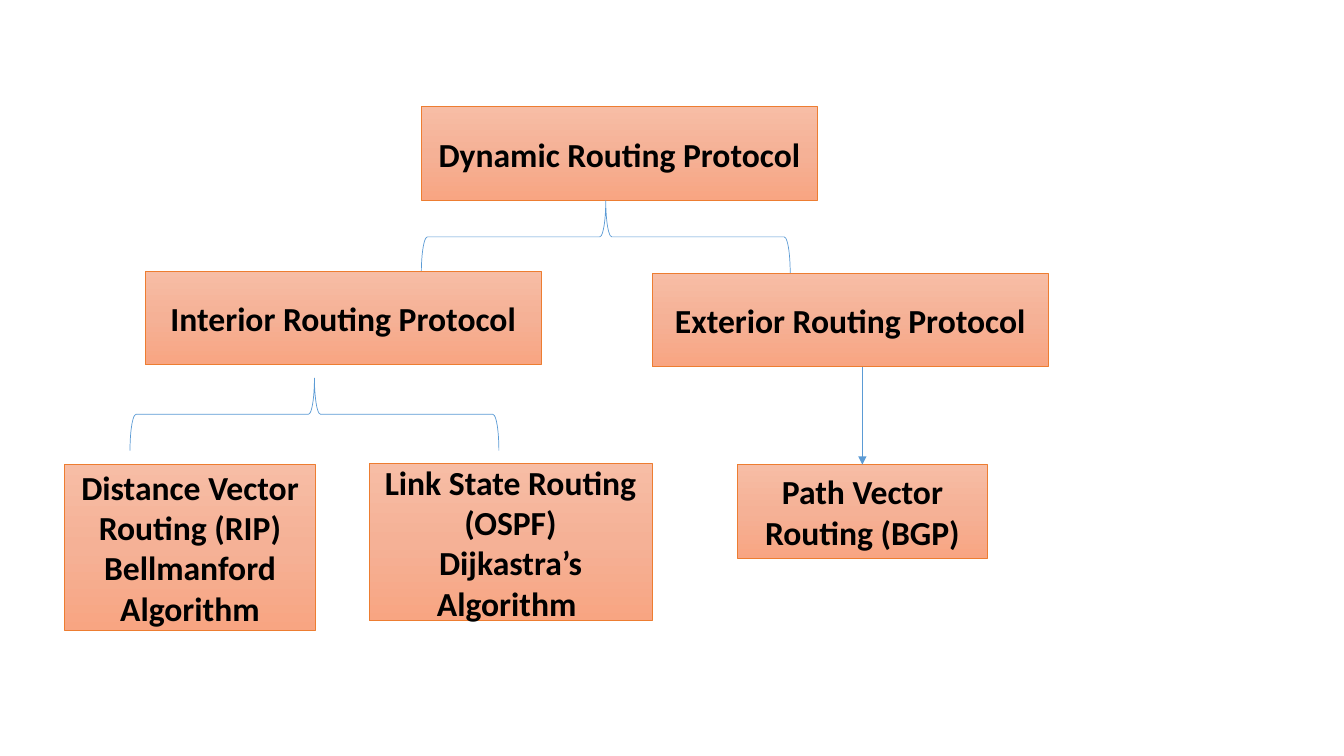
from copy import deepcopy
from dataclasses import dataclass

from lxml import etree
from pptx import Presentation
from pptx import util as u
from pptx.dml.color import RGBColor
from pptx.enum import shapes, text
from pptx.oxml.ns import qn


@dataclass(frozen=True)
class Theme:
    font: str = "Calibri"
    size: int = 24
    ink: str = "000000"
    box_stops: tuple = ("F7BDA5", "F5B196", "F8A582")
    box_line: str = "ED7D31"
    link_line: str = "5B9BD5"
    line_width: float = 0.5


THEME = Theme()
WIDTH, HEIGHT = u.Inches(13.33), u.Inches(7.5)
COLUMNS, ROWS = 40, 30
PROTOCOL_SIZE = (11.79, 3.72)   # columns, rows
BRACE_SIZE = (10.98, 2.88)


def col(n):
    return round(n * WIDTH / COLUMNS)


def row(n):
    return round(n * HEIGHT / ROWS)


def set_line(item, color):
    item.line.color.rgb = RGBColor.from_string(color)
    item.line.width = u.Pt(THEME.line_width)


def write(frame, lines, *, size=THEME.size, color=THEME.ink, bold=True):
    frame.word_wrap = True
    frame.vertical_anchor = text.MSO_ANCHOR.MIDDLE
    for i, line in enumerate(lines):
        paragraph = frame.add_paragraph() if i else frame.paragraphs[0]
        paragraph.alignment = text.PP_ALIGN.CENTER
        run = paragraph.add_run()
        run.text = line
        run.font.name = THEME.font
        run.font.size = u.Pt(size)
        run.font.bold = bold
        run.font.color.rgb = RGBColor.from_string(color)


def add_node(slide, x, y, size, *lines):
    """Gradient box with centred lines, in grid units."""
    node = slide.shapes.add_shape(shapes.MSO_SHAPE.RECTANGLE,
                                  col(x), row(y), col(size[0]), row(size[1]))
    node.shadow.inherit = False
    node.fill.gradient()
    node.fill.gradient_angle = 270
    stop_list = node._element.spPr.find(".//" + qn("a:gsLst"))
    stop_list.append(deepcopy(stop_list[0]))
    for i, (stop, color) in enumerate(zip(node.fill.gradient_stops, THEME.box_stops)):
        stop.position = i / 2
        stop.color.rgb = RGBColor.from_string(color)
    set_line(node, THEME.box_line)
    write(node.text_frame, lines)
    return node


def add_brace(slide, x, y):
    """Brace turned to point up; x, y is its visible top left corner."""
    span, depth = col(BRACE_SIZE[0]), row(BRACE_SIZE[1])
    shift = (span - depth) // 2
    brace = slide.shapes.add_shape(shapes.MSO_SHAPE.RIGHT_BRACE,
                                   col(x) + shift, row(y) - shift, depth, span)
    brace.rotation = 270
    brace.shadow.inherit = False
    brace.fill.background()
    set_line(brace, THEME.link_line)


def add_arrow(slide, parent, child):
    """Straight arrow from the parent's bottom to the child's top centre."""
    x = child.left + child.width // 2
    arrow = slide.shapes.add_connector(shapes.MSO_CONNECTOR.STRAIGHT,
                                       x, parent.top + parent.height, x, child.top)
    set_line(arrow, THEME.link_line)
    etree.SubElement(arrow.line._get_or_add_ln(), qn("a:tailEnd"), type="triangle")
    etree.SubElement(arrow._element.spPr, qn("a:effectLst"))


def draw_root(slide, x, y):
    add_node(slide, x, y, PROTOCOL_SIZE, "Dynamic Routing Protocol")
    add_brace(slide, x, y + PROTOCOL_SIZE[1])


def draw_interior(slide, x, y):
    add_node(slide, x + 2.4, y, PROTOCOL_SIZE, "Interior Routing Protocol")
    add_brace(slide, x + 1.95, y + 4.24)
    add_node(slide, x, y + 7.68, (7.47, 6.56),
             "Distance Vector Routing (RIP)", "Bellmanford Algorithm")
    add_node(slide, x + 9.06, y + 7.64, (8.43, 6.24),
             "Link State Routing (OSPF)", "Dijkastra’s Algorithm ")


def draw_exterior(slide, x, y):
    exterior = add_node(slide, x, y, PROTOCOL_SIZE, "Exterior Routing Protocol")
    path_vector = add_node(slide, x + 2.52, y + 7.6, (7.47, 3.72),
                           "Path Vector Routing (BGP)")
    add_arrow(slide, exterior, path_vector)


def main():
    deck = Presentation()
    deck.slide_width, deck.slide_height = WIDTH, HEIGHT
    slide = deck.slides.add_slide(deck.slide_layouts[6])
    draw_root(slide, 12.54, 4.24)
    draw_interior(slide, 1.92, 10.76)
    draw_exterior(slide, 19.41, 10.84)
    deck.save("out.pptx")


if __name__ == "__main__":
    main()
